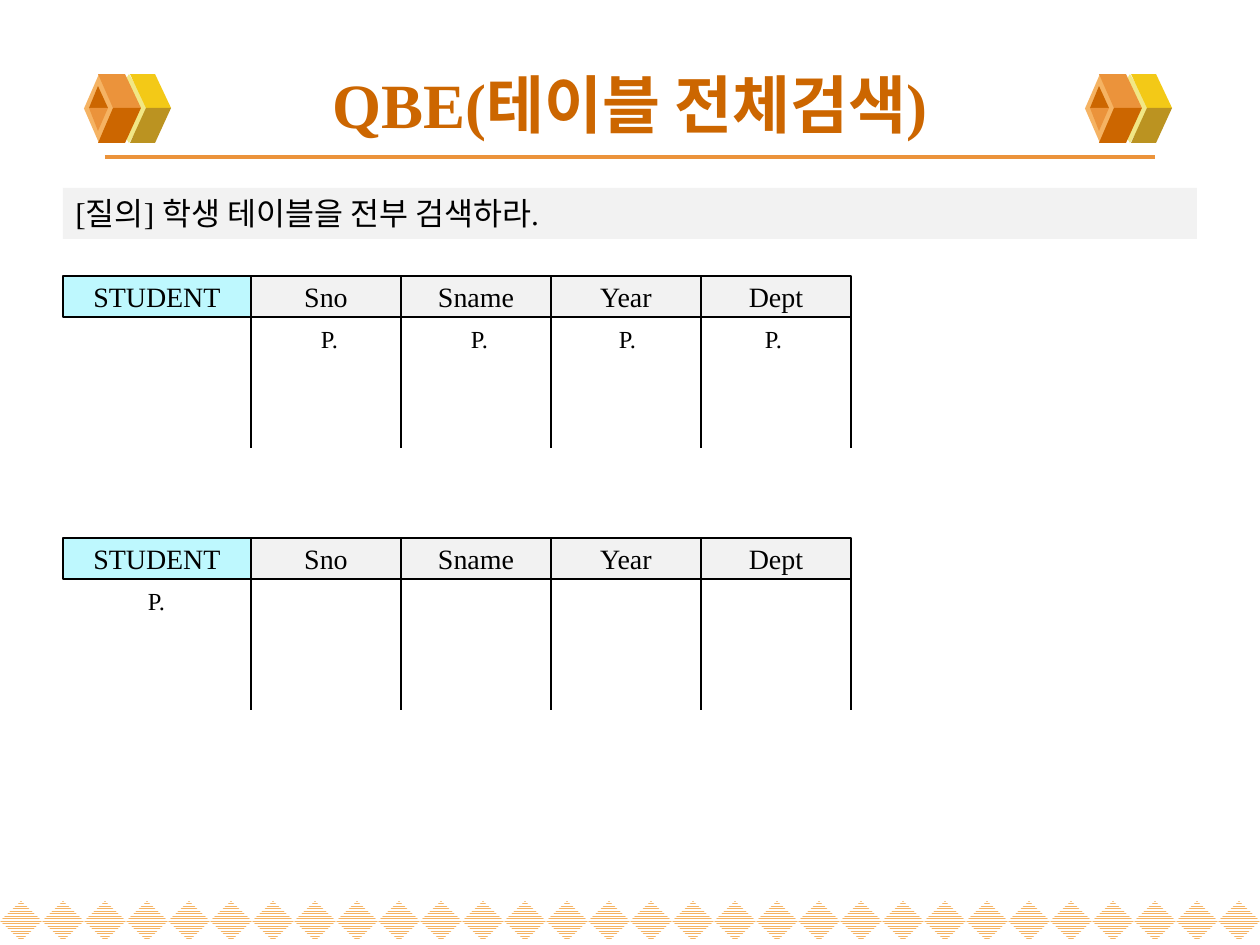
from itertools import accumulate

from lxml.etree import SubElement
from pptx import Presentation
from pptx.dml.color import RGBColor
from pptx.enum.dml import MSO_PATTERN
from pptx.enum.shapes import MSO_CONNECTOR, MSO_SHAPE
from pptx.enum.text import MSO_ANCHOR, PP_ALIGN
from pptx.oxml.ns import qn
from pptx.util import Emu, Pt

BLACK = RGBColor(0x00, 0x00, 0x00)
WHITE = RGBColor(0xFF, 0xFF, 0xFF)
GREY = RGBColor(0xF2, 0xF2, 0xF2)
CYAN = RGBColor(0xBE, 0xF8, 0xFE)
RUST = RGBColor(0xCC, 0x66, 0x00)
ORANGE = RGBColor(0xEB, 0x93, 0x3B)
APRICOT = RGBColor(0xF5, 0xB3, 0x63)
CREAM = RGBColor(0xF1, 0xE7, 0x85)
YELLOW = RGBColor(0xF3, 0xC9, 0x17)
OLIVE = RGBColor(0xBB, 0x93, 0x21)

TITLE = "QBE(테이블 전체검색)"
QUERY = "[질의] 학생 테이블을 전부 검색하라."
COLUMNS = [("STUDENT", 188), ("Sno", 150), ("Sname", 150), ("Year", 150), ("Dept", 150)]
MARK = "P."
# Top of each table and the left edges of its marks
TABLES = [(276, (260, 410, 558, 704)), (538, (87,))]

TABLE_LEFT, HEADER_HEIGHT, BODY_HEIGHT = 63, 41, 131
MARK_WIDTH, MARK_HEIGHT = 139, 43
DIAMOND_COUNT, DIAMOND_WIDTH, DIAMOND_HEIGHT, DIAMOND_TOP = 30, 42, 40, 901

CUBE_LEFTS, CUBE_TOP = (84, 1085), 74
# Points are measured from the top left corner of the cube, back to front
CUBE_BACK = [
    (YELLOW, [(62, 34), (87, 34), (71, 0), (46, 0)]),
    (OLIVE, [(62, 34), (87, 34), (71, 69), (46, 69)]),
]
CUBE_FRONT = [
    (ORANGE, [(29, 34), (57, 34), (41, 0), (14, 0)]),
    (RUST, [(29, 34), (57, 34), (41, 69), (14, 69)]),
    (RUST, [(14, 12), (5, 34), (24, 34)]),
    (ORANGE, [(14, 57), (5, 34), (24, 34)]),
]

SCALE = 914400 / 126


def px(*lengths):
    return [Emu(round(length * SCALE)) for length in lengths]


def paint(shape, fill, line=None):
    shape.shadow.inherit = False
    shape.fill.solid()
    shape.fill.fore_color.rgb = fill
    if line is None:
        shape.line.fill.background()
    else:
        shape.line.color.rgb = line
        shape.line.width = Pt(0.75)


def write(box, text, size, align=PP_ALIGN.CENTER, anchor=MSO_ANCHOR.MIDDLE,
          color=BLACK, bold=False):
    frame = box.text_frame
    frame.word_wrap = True
    frame.vertical_anchor = anchor
    para = frame.paragraphs[0]
    para.alignment = align
    span = para.add_run()
    span.text = text
    formats = {"name": "Times New Roman", "size": Pt(size), "bold": bold}
    for key, value in formats.items():
        setattr(span.font, key, value)
    span.font.color.rgb = color


def add_box(page, bounds, fill, line=None, kind=MSO_SHAPE.RECTANGLE):
    box = page.shapes.add_shape(kind, *px(*bounds))
    paint(box, fill, line)
    return box


def add_line(page, ends, color, width):
    line = page.shapes.add_connector(MSO_CONNECTOR.STRAIGHT, *px(*ends))
    line.line.color.rgb = color
    line.line.width = Pt(width)
    SubElement(line._element.spPr, qn("a:effectLst"))


def add_diamond_border(page):
    for index in range(DIAMOND_COUNT):
        bounds = px(index * DIAMOND_WIDTH, DIAMOND_TOP, DIAMOND_WIDTH, DIAMOND_HEIGHT)
        diamond = page.shapes.add_shape(MSO_SHAPE.DIAMOND, *bounds)
        diamond.shadow.inherit = False
        diamond.line.fill.background()
        diamond.fill.patterned()
        diamond.fill.pattern = MSO_PATTERN.NARROW_HORIZONTAL
        diamond.fill.fore_color.rgb = APRICOT
        diamond.fill.back_color.rgb = WHITE


def add_faces(page, left, faces):
    for color, points in faces:
        corners = [(left + x, CUBE_TOP + y) for x, y in points]
        builder = page.shapes.build_freeform(*corners[0], scale=SCALE)
        builder.add_line_segments(corners[1:], close=True)
        paint(builder.convert_to_shape(), color)


def add_cube(page, left):
    add_box(page, (left + 24, CUBE_TOP, 42, 69), CREAM, kind=MSO_SHAPE.DIAMOND)
    add_faces(page, left, CUBE_BACK)
    add_box(page, (left, CUBE_TOP, 30, 69), APRICOT, kind=MSO_SHAPE.DIAMOND)
    add_faces(page, left, CUBE_FRONT)


def add_query_table(page, top, mark_lefts):
    edges = list(accumulate((width for _, width in COLUMNS), initial=TABLE_LEFT))
    body_top = top + HEADER_HEIGHT
    for index, (name, width) in enumerate(COLUMNS):
        fill = GREY if index else CYAN
        box = add_box(page, (edges[index], top, width, HEADER_HEIGHT), fill, BLACK)
        write(box, name, 16)
    for edge in edges[1:]:
        add_line(page, (edge, body_top, edge, body_top + BODY_HEIGHT), BLACK, 0.75)
    for left in mark_lefts:
        box = page.shapes.add_textbox(*px(left, body_top + 1, MARK_WIDTH, MARK_HEIGHT))
        write(box, MARK, 14, anchor=MSO_ANCHOR.TOP)


def main():
    deck = Presentation()
    deck.slide_width, deck.slide_height = px(1260, 945)
    page = deck.slides.add_slide(deck.slide_layouts[6])

    add_diamond_border(page)
    add_line(page, (105, 157, 1155, 157), ORANGE, 2.25)
    for left in CUBE_LEFTS:
        add_cube(page, left)

    title = page.shapes.add_textbox(*px(63, 50, 1134, 107))
    write(title, TITLE, 36, color=RUST, bold=True)
    query = add_box(page, (63, 188, 1134, 51), GREY)
    write(query, QUERY, 18, PP_ALIGN.LEFT, MSO_ANCHOR.TOP)
    for top, mark_lefts in TABLES:
        add_query_table(page, top, mark_lefts)

    deck.save("out.pptx")


if __name__ == "__main__":
    main()
